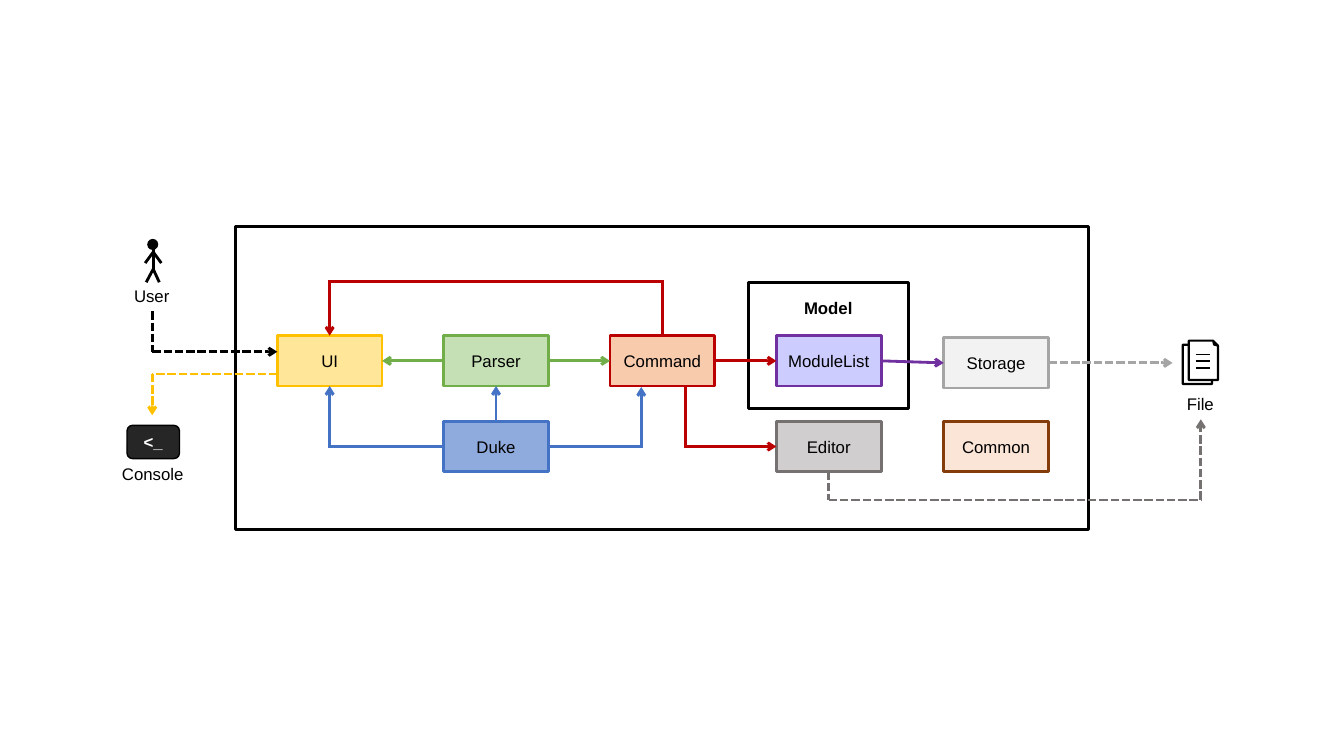
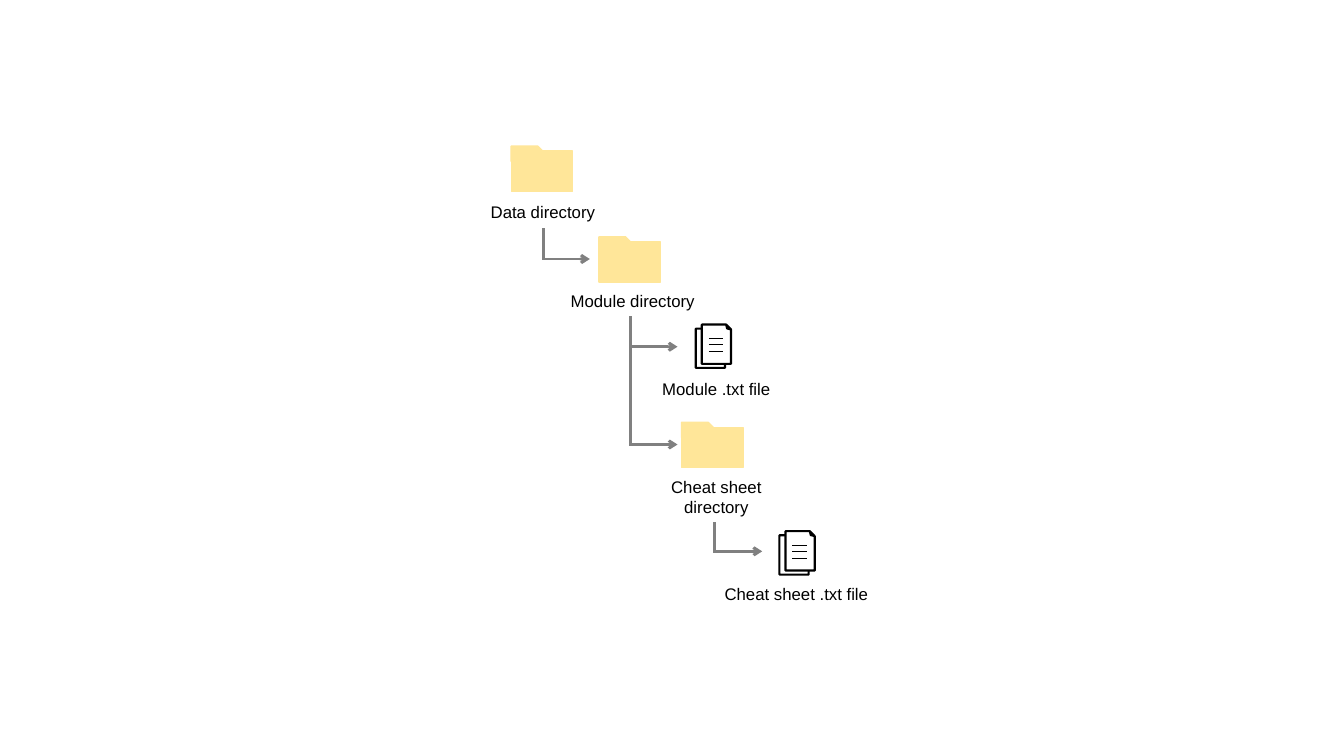
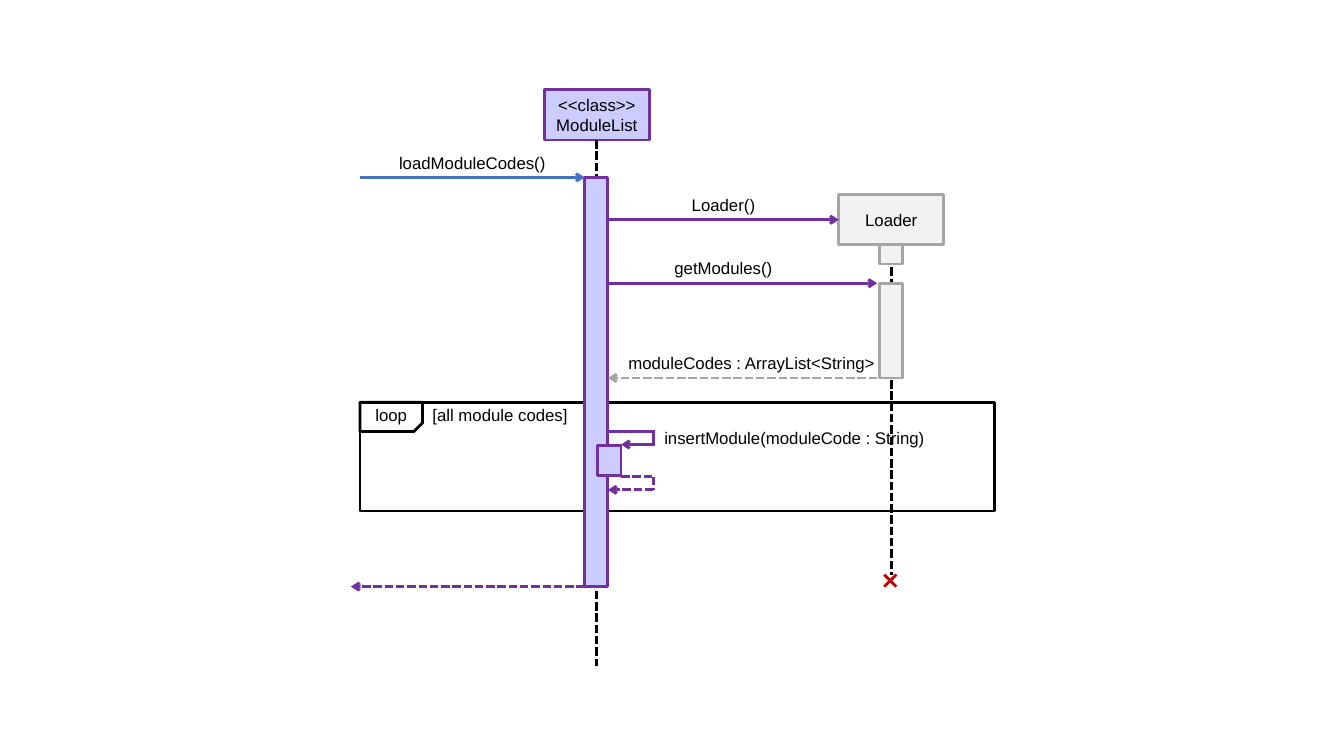
"""Draw an app's parts, its data folders and a loading sequence."""
from lxml.etree import SubElement
from pptx import Presentation
from pptx.dml.color import RGBColor
from pptx.enum.dml import MSO_LINE
from pptx.enum.shapes import MSO_CONNECTOR, MSO_SHAPE
from pptx.enum.text import PP_ALIGN
from pptx.oxml.ns import qn
from pptx.util import Inches, Pt

BLACK = RGBColor(0x00, 0x00, 0x00)
WHITE = RGBColor(0xFF, 0xFF, 0xFF)
COAL = RGBColor(0x26, 0x26, 0x26)
GOLD = RGBColor(0xFF, 0xC0, 0x00)
SAND = RGBColor(0xFF, 0xE6, 0x99)
GREEN = RGBColor(0x71, 0xAE, 0x49)
MINT = RGBColor(0xC5, 0xE0, 0xB4)
RED = RGBColor(0xBA, 0x00, 0x00)
CROSS = RGBColor(0xC0, 0x00, 0x00)
PEACH = RGBColor(0xF8, 0xCB, 0xAD)
PURPLE = RGBColor(0x70, 0x30, 0xA0)
LILAC = RGBColor(0xCC, 0xCC, 0xFF)
GREY = RGBColor(0xA5, 0xA5, 0xA5)
PALE = RGBColor(0xF2, 0xF2, 0xF2)
BLUE = RGBColor(0x44, 0x72, 0xC4)
SKY = RGBColor(0x8F, 0xAA, 0xDC)
BROWN = RGBColor(0x84, 0x3C, 0x0B)
CREAM = RGBColor(0xFB, 0xE5, 0xD6)
STONE = RGBColor(0x76, 0x71, 0x71)
ASH = RGBColor(0xD0, 0xCE, 0xCE)
SLATE = RGBColor(0x80, 0x80, 0x80)

FONT = "Arial"
SIZE = Pt(12)
BOX_W, BOX_H = 1.04, 0.5
BAR_W = 0.23

RECT = MSO_SHAPE.RECTANGLE
parts = {}


def box(slide, kind, x, y, w, h, fill=None, edge=None, text="", width=2,
        ink=BLACK, bold=False, align=PP_ALIGN.CENTER):
    """Add a shape, or a text box when kind is None."""
    place = [Inches(v) for v in (x, y, w, h)]
    if kind is None:
        shape = slide.shapes.add_textbox(*place)
    else:
        shape = slide.shapes.add_shape(kind, *place)
        shape.shadow.inherit = False
        shape.text_frame.margin_left = shape.text_frame.margin_right = Inches(0.05)
    if fill is None:
        shape.fill.background()
    else:
        shape.fill.solid()
        shape.fill.fore_color.rgb = fill
    if edge is None:
        shape.line.fill.background()
    else:
        shape.line.color.rgb = edge
        shape.line.width = Pt(width)
    if text:
        shape.text_frame.word_wrap = True
        shape.text_frame.text = text
        for para in shape.text_frame.paragraphs:
            para.alignment = align
            for run in para.runs:
                run.font.name = FONT
                run.font.size = SIZE
                run.font.bold = bold
                run.font.color.rgb = ink
        if kind is not None:
            parts[text] = shape
    return shape


def link(slide, color, *stops, dash=False, tip=True, width=2):
    """Draw a line through stops, each a point or a part's name and side."""
    for start, end in zip(stops, stops[1:]):
        spots = [(0, 0) if isinstance(s[0], str) else s for s in (start, end)]
        wire = slide.shapes.add_connector(
            MSO_CONNECTOR.STRAIGHT, *[Inches(v) for spot in spots for v in spot])
        if isinstance(start[0], str):
            wire.begin_connect(parts[start[0]], start[1])
        if isinstance(end[0], str):
            wire.end_connect(parts[end[0]], end[1])
        wire.line.color.rgb = color
        wire.line.width = Pt(width)
        props = wire.element.spPr
        stroke = props.find(qn("a:ln"))
        if dash:
            wire.line.dash_style = MSO_LINE.SQUARE_DOT
        elif len(stops) > 2:
            stroke.set("cap", "sq")
        if tip and end is stops[-1]:
            SubElement(stroke, qn("a:tailEnd"), type="arrow")
        SubElement(props, qn("a:effectLst"))


deck = Presentation()
deck.slide_width, deck.slide_height = Inches(13.33), Inches(7.5)
design, tree, sequence = [deck.slides.add_slide(deck.slide_layouts[6]) for _ in range(3)]

box(design, RECT, 7.42, 2.8, 1.59, 1.25, edge=BLACK)
box(design, RECT, 2.34, 2.25, 8.46, 3, edge=BLACK)
for name, x, y, fill, edge in [
    ("UI", 2.75, 3.33, SAND, GOLD),
    ("Parser", 4.4, 3.33, MINT, GREEN),
    ("Command", 6.05, 3.33, PEACH, RED),
    ("ModuleList", 7.7, 3.33, LILAC, PURPLE),
    ("Storage", 9.36, 3.35, PALE, GREY),
    ("Duke", 4.4, 4.18, SKY, BLUE),
    ("Editor", 7.7, 4.18, ASH, STONE),
    ("Common", 9.36, 4.18, CREAM, BROWN),
]:
    box(design, RECT, x, y, BOX_W, BOX_H, fill, edge, name)
box(design, MSO_SHAPE.ROUNDED_RECTANGLE, 1.26, 4.22, 0.52, 0.33, COAL, BLACK,
    "<_", width=1, ink=WHITE, bold=True)

for color, *stops in [
    (GREEN, ("Parser", 1), ("UI", 3)),
    (GREEN, ("Parser", 3), ("Command", 1)),
    (RED, ("Command", 3), ("ModuleList", 1)),
    (RED, ("Command", 0), (6.57, 2.79), (3.27, 2.79), ("UI", 0)),
    (RED, (6.8, 3.83), (6.8, 4.43), ("Editor", 1)),
    (PURPLE, ("ModuleList", 3), ("Storage", 1)),
    (BLUE, ("Duke", 0), ("Parser", 2)),
    (BLUE, ("Duke", 1), (3.27, 4.43), ("UI", 2)),
    (BLUE, ("Duke", 3), (6.36, 4.43), (6.36, 3.84)),
]:
    link(design, color, *stops)
for color, *stops in [
    (BLACK, (1.51, 3.09), (1.51, 3.49), (2.75, 3.49)),
    (GOLD, (2.75, 3.71), (1.51, 3.71), (1.51, 4.12)),
    (GREY, ("Storage", 3), (11.63, 3.6)),
    (STONE, ("Editor", 2), (8.22, 4.96), (11.91, 4.96), (11.91, 4.16)),
]:
    link(design, color, *stops, dash=True)

box(design, MSO_SHAPE.OVAL, 1.46, 2.37, 0.11, 0.11, BLACK)
for top, x, y in [(2.46, 1.52, 2.67), (2.67, 1.58, 2.8), (2.67, 1.45, 2.8),
                  (2.5, 1.6, 2.61), (2.5, 1.44, 2.61)]:
    link(design, BLACK, (1.52, top), (x, y), tip=False)

for x, y in [(5.07, 1.45), (5.94, 2.35), (6.76, 4.19)]:
    box(tree, RECT, x, y + 0.05, 0.61, 0.4, SAND, SAND, width=1)
    tab = box(tree, MSO_SHAPE.SNIP_ROUND_RECTANGLE, x, y, 0.34, 0.15, SAND, SAND, width=1)
    tab.adjustments[0], tab.adjustments[1] = 0, 0.5
for stops in [
    ((5.39, 2.28), (5.39, 2.57), (5.85, 2.57)),
    ((6.25, 3.15), (6.25, 4.41), (6.72, 4.41)),
    ((6.25, 3.44), (6.72, 3.44)),
    ((7.09, 5.19), (7.09, 5.47), (7.56, 5.47)),
]:
    link(tree, SLATE, *stops)

for slide, x, y in [(design, 11.73, 3.38), (tree, 6.9, 3.22), (tree, 7.73, 5.27)]:
    for right, down in [(0, 0.04), (0.06, 0)]:
        page = box(slide, MSO_SHAPE.FOLDED_CORNER, x + right, y + down, 0.29, 0.39,
                   WHITE, BLACK, width=1.5)
        page.rotation = 180
        page.element.spPr.find(qn("a:xfrm")).set("flipH", "1")
    for down in (0.14, 0.2, 0.27):
        link(slide, BLACK, (x + 0.13, y + down), (x + 0.27, y + down), tip=False, width=1)

box(sequence, RECT, 3.57, 3.99, 6.29, 1.08, edge=BLACK)
box(sequence, RECT, 5.4, 0.89, BOX_W, BOX_H, LILAC, PURPLE, "<<class>>\nModuleList")
box(sequence, RECT, 8.32, 1.93, BOX_W, BOX_H, PALE, GREY, "Loader")
link(sequence, BLACK, ("<<class>>\nModuleList", 2), (5.92, 6.61), dash=True, tip=False)
link(sequence, BLACK, ("Loader", 2), (8.84, 5.7), dash=True, tip=False)
for x, y, h, fill, edge in [
    (5.8, 1.76, 4.06, LILAC, PURPLE),
    (8.72, 2.43, 0.19, PALE, GREY),
    (8.72, 2.81, 0.94, PALE, GREY),
    (5.93, 4.42, 0.3, LILAC, PURPLE),
]:
    box(sequence, RECT, x, y, BAR_W, h, fill, edge)
for color, dash, *stops in [
    (BLUE, False, (3.57, 1.76), (5.8, 1.76)),
    (PURPLE, False, (6.03, 2.18), ("Loader", 1)),
    (PURPLE, False, (6.03, 2.81), (8.7, 2.81)),
    (GREY, True, (8.7, 3.75), (6.03, 3.75)),
    (PURPLE, False, (6.03, 4.28), (6.48, 4.28), (6.48, 4.41), (6.16, 4.41)),
    (PURPLE, True, (6.16, 4.73), (6.48, 4.73), (6.48, 4.86), (6.03, 4.86)),
    (PURPLE, True, (5.8, 5.82), (3.48, 5.82)),
]:
    link(sequence, color, *stops, dash=dash)
for top, base in [(5.7, 5.82), (5.82, 5.7)]:
    link(sequence, CROSS, (8.77, top), (8.89, base), tip=False)
flag = box(sequence, MSO_SHAPE.SNIP_1_RECTANGLE, 3.57, 3.99, 0.62, 0.29, edge=BLACK)
flag.adjustments[0] = 0.29
flag.rotation = 180
flag.element.spPr.find(qn("a:xfrm")).set("flipH", "1")

for slide, x, y, w, text in [
    (design, 0.71, 2.79, 1.59, "User"),
    (design, 0.72, 4.55, 1.59, "Console"),
    (design, 11.11, 3.86, 1.59, "File"),
    (tree, 4.59, 1.95, 1.59, "Data directory"),
    (tree, 5.48, 2.84, 1.59, "Module directory"),
    (tree, 6.31, 3.71, 1.59, "Module .txt file"),
    (tree, 6.31, 4.68, 1.59, "Cheat sheet directory"),
    (tree, 7.05, 5.74, 1.7, "Cheat sheet .txt file"),
    (sequence, 3.85, 1.47, 1.67, "loadModuleCodes()"),
    (sequence, 6.38, 1.88, 1.59, "Loader()"),
    (sequence, 6.38, 2.51, 1.59, "getModules()"),
    (sequence, 6.08, 3.45, 2.75, "moduleCodes : ArrayList<String>"),
    (sequence, 3.57, 3.97, 0.62, "loop"),
]:
    box(slide, None, x, y, w, 0.3, text=text)
box(design, None, 7.42, 2.9, 1.59, 0.3, text="Model", bold=True)
for x, y, w, text in [
    (6.49, 4.19, 2.9, "insertModule(moduleCode : String)"),
    (4.19, 3.97, 1.59, "[all module codes]"),
]:
    box(sequence, None, x, y, w, 0.3, text=text, align=PP_ALIGN.LEFT)

deck.save("out.pptx")
